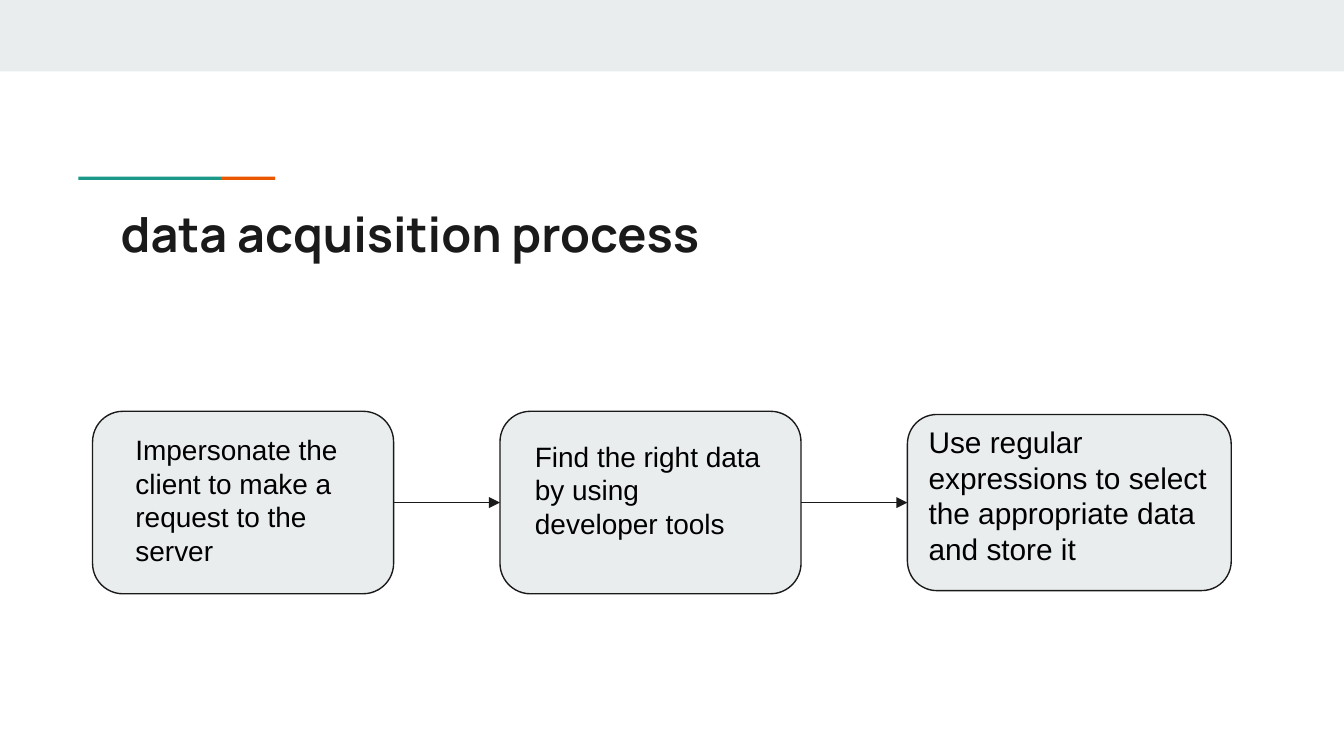
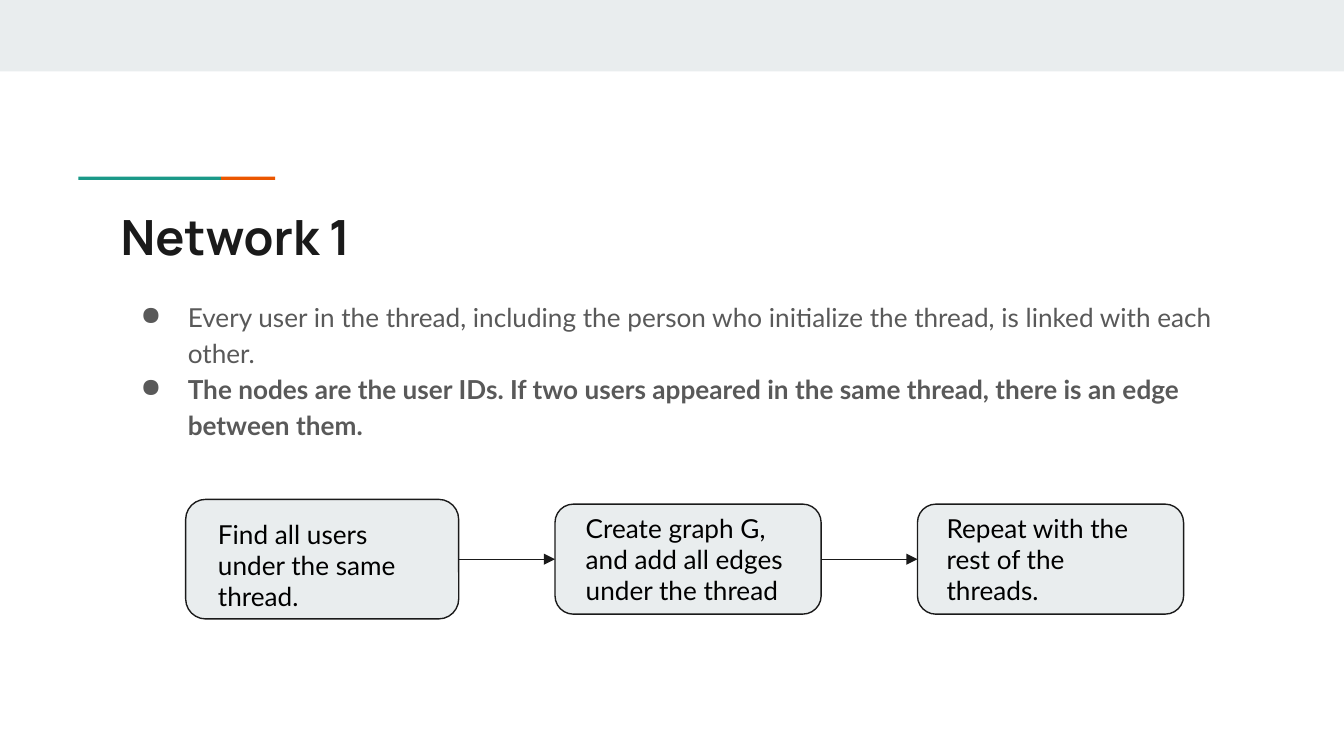
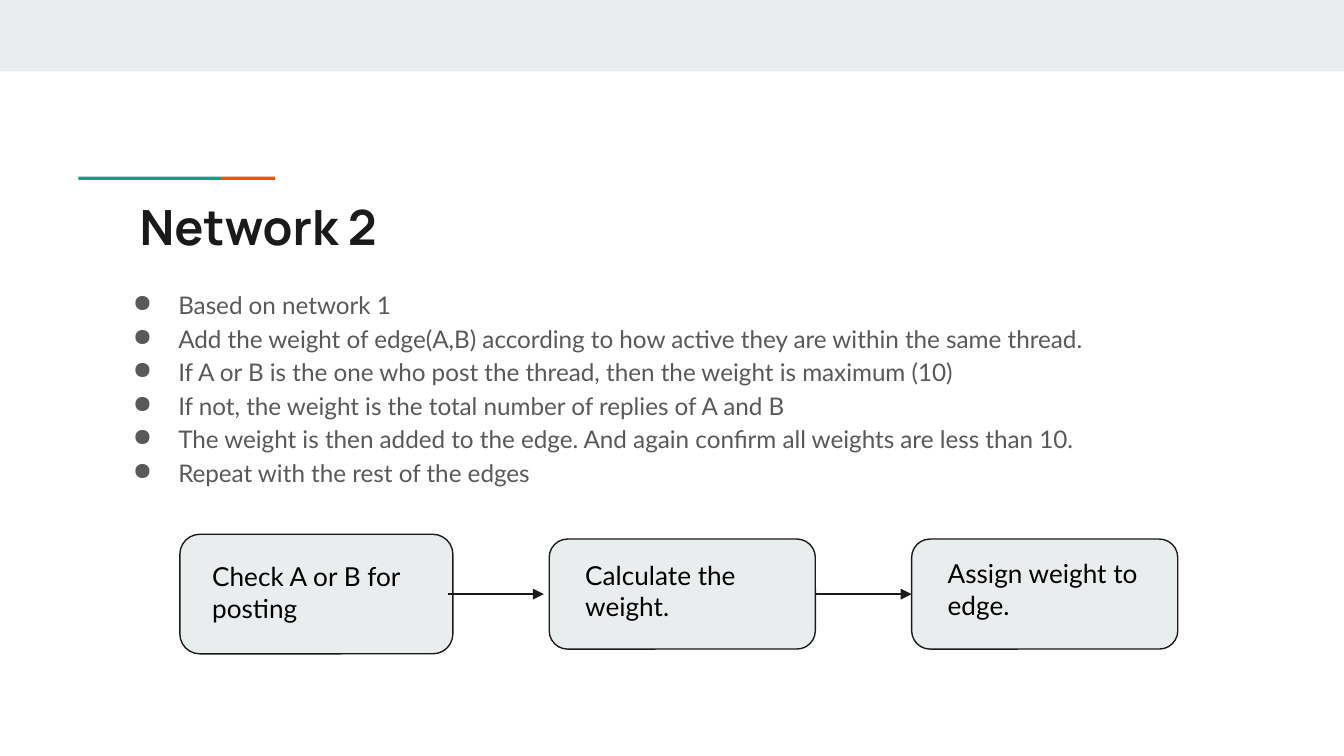
from dataclasses import dataclass

from lxml import etree
from pptx import Presentation
from pptx.dml.color import RGBColor
from pptx.enum.shapes import MSO_CONNECTOR, MSO_SHAPE
from pptx.enum.text import MSO_ANCHOR
from pptx.oxml.ns import qn
from pptx.util import Cm, Pt

RECTANGLE = MSO_SHAPE.RECTANGLE
ROUNDED = MSO_SHAPE.ROUNDED_RECTANGLE
STRAIGHT = MSO_CONNECTOR.STRAIGHT
TOP = MSO_ANCHOR.TOP
MIDDLE = MSO_ANCHOR.MIDDLE

COLOURS = {
    "band": "E9EDEE",
    "teal": "1A9988",
    "orange": "EB5600",
    "ink": "1A1A1A",
    "body": "595959",
    "step": "000000",
}
PAGE_WIDTH, PAGE_HEIGHT = 25.4, 14.29
CONTENT_WIDTH = 21.36
INSET = 0.25
BULLET_INDENT = 1.27
TITLE_FORMAT = {"name": "Manrope", "size": Pt(26), "bold": True}


@dataclass
class Step:
    """A process box; text_box is left, top, width, height from its corner."""
    text: str
    size: tuple
    text_box: tuple
    points: int = 14
    font: str = "Lato"


def colour(name):
    return RGBColor.from_string(COLOURS[name])


def add_block(page, kind, box, fill, outline=None):
    block = page.shapes.add_shape(kind, *map(Cm, box))
    block.shadow.inherit = False
    block.fill.solid()
    block.fill.fore_color.rgb = colour(fill)
    if outline:
        block.line.color.rgb = colour(outline)
        block.line.width = Pt(0.75)
    else:
        block.line.fill.background()
    return block


def add_text(page, box, lines, font_format, ink, anchor=TOP):
    """Write one paragraph for each line and return the paragraphs."""
    frame = page.shapes.add_textbox(*map(Cm, box)).text_frame
    frame_format = {"word_wrap": True, "vertical_anchor": anchor}
    frame_format.update(
        (f"margin_{side}", Cm(INSET)) for side in ("left", "right", "top", "bottom"))
    for name, value in frame_format.items():
        setattr(frame, name, value)
    frame.text = "\n".join(lines)
    for para in frame.paragraphs:
        for span in para.runs:
            for name, value in font_format.items():
                setattr(span.font, name, value)
            span.font.color.rgb = colour(ink)
    return frame.paragraphs


def add_arrow(page, start, end, middle):
    arrow = page.shapes.add_connector(STRAIGHT, Cm(start), Cm(middle), Cm(end), Cm(middle))
    arrow.line.color.rgb = colour("ink")
    arrow.line.width = Pt(0.75)
    line = arrow.line._get_or_add_ln()
    etree.SubElement(line, qn("a:tailEnd"), type="triangle")
    etree.SubElement(arrow._element.spPr, qn("a:effectLst"))


def add_header(page, title, left=2.03, top=3.66, anchor=TOP):
    add_block(page, RECTANGLE, (0, 0, PAGE_WIDTH, 1.35), "band")
    accent_left = 1.48
    for fill, width in (("teal", 2.7), ("orange", 1.02)):
        add_block(page, RECTANGLE, (accent_left, 3.34, width, 0.06), fill)
        accent_left += width
    add_text(page, (left, top, CONTENT_WIDTH, 1.5), [title], TITLE_FORMAT, "ink", anchor)


def add_bullets(page, box, lines, points, hanging, bold_lines=()):
    font_format = {"name": "Lato", "size": Pt(points)}
    for index, para in enumerate(add_text(page, box, lines, font_format, "body")):
        para.line_spacing = 1.15
        para.runs[0].font.bold = index in bold_lines
        properties = para._p.get_or_add_pPr()
        properties.set("marL", str(Cm(BULLET_INDENT)))
        properties.set("indent", str(-Cm(hanging)))
        bullet_colour = etree.SubElement(properties, qn("a:buClr"))
        etree.SubElement(bullet_colour, qn("a:srgbClr"), val=COLOURS["body"])
        etree.SubElement(properties, qn("a:buChar"), char="●")


def add_process(page, left, middle, gap, steps, first_arrow_shift=0):
    """Lay steps out from left to right, centred on middle, with arrows in the gaps."""
    arrow_starts = []
    for step in steps:
        width, height = step.size
        top = middle - height / 2
        block = add_block(page, ROUNDED, (left, top, width, height), "band", "ink")
        block.adjustments[0] = 0.167
        text_left, text_top, *text_size = step.text_box
        add_text(page, (left + text_left, top + text_top, *text_size), [step.text],
                 {"name": step.font, "size": Pt(step.points)}, "step")
        arrow_starts.append(left + width)
        left += width + gap
    arrow_starts[0] += first_arrow_shift
    for start in arrow_starts[:-1]:
        add_arrow(page, start, start + gap, middle)


def build_acquisition(page):
    add_header(page, "data acquisition process", anchor=MIDDLE)
    add_process(page, 1.75, 9.5, 2.01, [
        Step("Impersonate the client to make a request to the server",
             (5.69, 3.45), (0.56, 0.15, 4.57, 2.64), 15, "Arial"),
        Step("Find the right data by using developer tools",
             (5.69, 3.45), (0.41, 0.28, 4.83, 2.92), 15, "Arial"),
        Step("Use regular expressions to select the appropriate data and store it",
             (6.12, 3.33), (0.15, -0.08, 6.12, 2.92), 16, "Arial"),
    ])


def build_first_network(page):
    add_header(page, "Network 1")
    add_bullets(page, (2.03, 5.36, CONTENT_WIDTH, 2.41), [
        "Every user in the thread, including the person who initialize the thread, "
        "is linked with each other.",
        "The nodes are the user IDs. If two users appeared in the same thread, "
        "there is an edge between them.",
    ], points=14, hanging=0.89, bold_lines=(1,))
    add_process(page, 3.51, 10.57, 1.82, [
        Step("Find all users under the same thread.",
             (5.16, 2.26), (0.36, 0.1, 4.17, 1.73)),
        Step("Create graph G, and add all edges under the thread",
             (5.03, 2.08), (0.33, -0.1, 4.39, 1.9)),
        Step("Repeat with the rest of the threads.",
             (5.03, 2.08), (0.3, -0.1, 4.39, 1.9)),
    ])


def build_second_network(page):
    add_header(page, "Network 2", left=2.39, top=3.48)
    add_bullets(page, (1.85, 5.16, CONTENT_WIDTH, 3.28), [
        "Based on network 1",
        "Add the weight of edge(A,B) according to how active they are within the same thread.",
        "If A or B is the one who post the thread, then the weight is maximum (10)",
        "If not, the weight is the total number of replies of A and B",
        "The weight is then added to the edge. And again confirm all weights are less than 10.",
        "Repeat with the rest of the edges",
    ], points=13, hanging=0.86)
    add_process(page, 3.4, 11.23, 1.82, [
        Step("Check A or B for posting", (5.16, 2.26), (0.36, 0.25, 4.17, 1.73)),
        Step("Calculate the weight.", (5.03, 2.08), (0.43, 0.13, 4.04, 1.5)),
        Step("Assign weight to edge.", (5.03, 2.08), (0.43, 0.1, 4.39, 1.9)),
    ], first_arrow_shift=-0.1)


def main():
    deck = Presentation()
    deck.slide_width, deck.slide_height = Cm(PAGE_WIDTH), Cm(PAGE_HEIGHT)
    blank = deck.slide_layouts[6]
    for build in (build_acquisition, build_first_network, build_second_network):
        build(deck.slides.add_slide(blank))
    deck.save("out.pptx")


if __name__ == "__main__":
    main()
